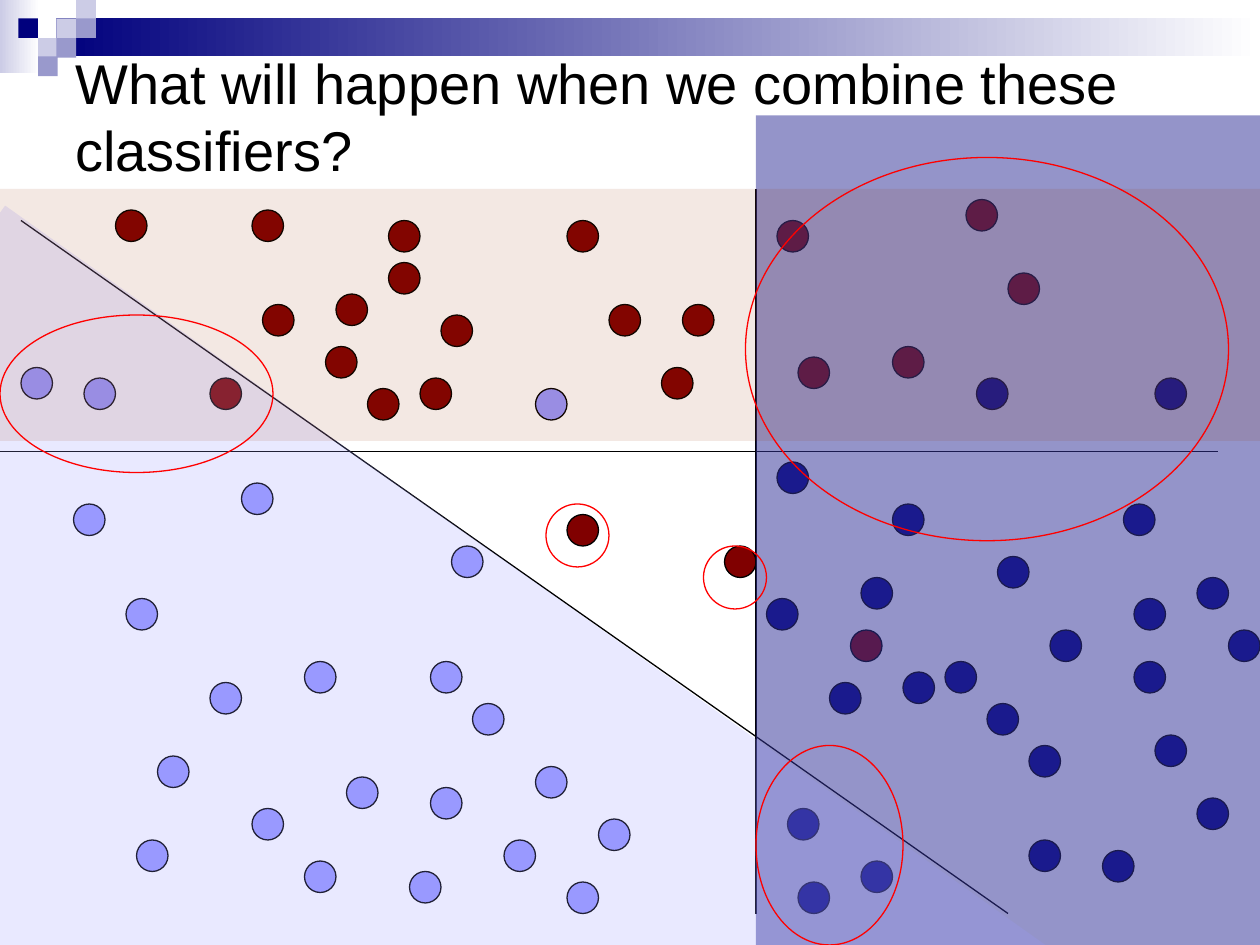
from dataclasses import dataclass
from typing import NamedTuple, Optional

from pptx import Presentation
from pptx import util as u
from pptx.dml.color import RGBColor
from pptx.enum import shapes as s, text as t
from pptx.oxml.ns import qn
from lxml import etree

PX = 9525  # EMU per px, 96 px to the inch


@dataclass(frozen=True)
class Theme:
    ink: str = "000000"
    pale: str = "9999FF"
    red: str = "800000"
    navy: str = "000080"
    ring: str = "FF0000"
    blue: str = "333399"
    rust: str = "993300"
    deep: str = "00007D"
    mist: str = "CCCCE6"
    haze: str = "9999CC"
    white: str = "FFFFFF"
    font: str = "Arial"
    title: float = 32
    line: float = 0.75


class Box(NamedTuple):
    x: int
    y: int
    w: int
    h: int


class Zone(NamedTuple):
    box: Box
    fill: str
    alpha: int
    turn: float = 0


class Band(NamedTuple):
    box: Box
    start: str
    end: str


class Tile(NamedTuple):
    col: int
    row: int
    fill: str


class Rule(NamedTuple):
    x1: int
    y1: int
    x2: int
    y2: int


TH = Theme()
DOT = 24
STEP = 14.4  # pitch of the corner tiles

BANDS = [
    Band(Box(0, 0, 30, 56), TH.mist, TH.white),
    Band(Box(43, 14, 917, 29), TH.deep, TH.white),
]
TILES = [
    Tile(3, 1, TH.mist), Tile(4, 0, TH.mist), Tile(4, 1, TH.haze),
    Tile(2, 2, TH.mist), Tile(1, 1, TH.deep), Tile(3, 2, TH.haze),
    Tile(2, 3, TH.haze),
]
# Left and top of each data point, by class colour
DOTS = {
    TH.pale: [
        (160, 520), (328, 600), (192, 616), (184, 368), (120, 576), (232, 656),
        (104, 640), (64, 288), (16, 280), (264, 592), (96, 456), (408, 296),
        (56, 384), (344, 416), (432, 672), (328, 504), (232, 504), (360, 536),
        (384, 640), (408, 584), (456, 624), (312, 664),
    ],
    TH.red: [
        (192, 160), (160, 288), (296, 168), (248, 264), (256, 224), (280, 296),
        (432, 392), (320, 288), (504, 280), (464, 232), (336, 240), (592, 168),
        (432, 168), (552, 416), (680, 264), (520, 232), (768, 208), (608, 272),
        (200, 232), (736, 152), (296, 200), (648, 480), (88, 160),
    ],
    TH.navy: [
        (656, 656), (912, 440), (880, 560), (608, 672), (864, 456), (936, 480),
        (760, 424), (912, 608), (864, 504), (856, 384), (784, 640), (744, 288),
        (680, 384), (584, 456), (592, 352), (632, 520), (656, 440), (880, 288),
        (688, 512), (600, 616), (720, 504), (800, 480), (752, 536), (840, 648),
        (784, 568),
    ],
}
RULES = [Rule(0, 344, 928, 344), Rule(16, 168, 768, 696), Rule(576, 144, 576, 696)]
ZONES = [
    Zone(Box(576, 88, 384, 656), TH.blue, 52),
    Zone(Box(-225, 396, 979, 478), TH.pale, 21, 35.4),
    Zone(Box(0, 144, 960, 192), TH.rust, 11),
]
RINGS = [
    Box(536, 416, 48, 48), Box(416, 384, 48, 48), Box(0, 240, 208, 120),
    Box(568, 120, 368, 292), Box(576, 568, 112, 152),
]


def rgb(code: str) -> RGBColor:
    return RGBColor.from_string(code)


def emu(*vals: int) -> list[u.Emu]:
    return [u.Emu(v * PX) for v in vals]


def stroke(item, code: str) -> None:
    item.line.color.rgb = rgb(code)
    item.line.width = u.Pt(TH.line)


def draw(slide, kind, box: Box, fill: Optional[str] = None, edge: Optional[str] = None):
    item = slide.shapes.add_shape(kind, *emu(*box))
    item.shadow.inherit = False
    if fill:
        item.fill.solid()
        item.fill.fore_color.rgb = rgb(fill)
    else:
        item.fill.background()
    if edge:
        stroke(item, edge)
    else:
        item.line.fill.background()
    return item


def add_band(slide, band: Band) -> None:
    item = draw(slide, s.MSO_SHAPE.RECTANGLE, band.box)
    item.fill.gradient()
    item.fill.gradient_angle = 0
    for stop, code in zip(item.fill.gradient_stops, (band.start, band.end)):
        stop.color.rgb = rgb(code)


def add_tile(slide, tile: Tile) -> None:
    box = Box(round(tile.col * STEP), round(tile.row * STEP), 15, 15)
    draw(slide, s.MSO_SHAPE.RECTANGLE, box, tile.fill)


def add_zone(slide, zone: Zone) -> None:
    item = draw(slide, s.MSO_SHAPE.RECTANGLE, zone.box, zone.fill)
    item.rotation = zone.turn
    tint = item.fill._xPr.find(qn("a:solidFill"))[0]
    etree.SubElement(tint, qn("a:alpha")).set("val", str(zone.alpha * 1000))


def add_rule(slide, rule: Rule) -> None:
    item = slide.shapes.add_connector(s.MSO_CONNECTOR.STRAIGHT, *emu(*rule))
    stroke(item, TH.ink)
    etree.SubElement(item._element.spPr, qn("a:effectLst"))


def add_title(slide, words: str, box: Box) -> None:
    frame = slide.shapes.add_textbox(*emu(*box)).text_frame
    for key, val in {"word_wrap": True, "vertical_anchor": t.MSO_ANCHOR.MIDDLE}.items():
        setattr(frame, key, val)
    run = frame.paragraphs[0].add_run()
    run.text = words
    for key, val in {"name": TH.font, "size": u.Pt(TH.title)}.items():
        setattr(run.font, key, val)
    run.font.color.rgb = rgb(TH.ink)


def main() -> None:
    deck = Presentation()
    deck.slide_width, deck.slide_height = emu(960, 720)
    slide = deck.slides.add_slide(deck.slide_layouts[6])

    # Header decoration and title
    for band in BANDS:
        add_band(slide, band)
    for tile in TILES:
        add_tile(slide, tile)
    add_title(slide, "What will happen when we combine these classifiers?",
              Box(48, 48, 872, 80))

    # Data points
    for code, spots in DOTS.items():
        for x, y in spots:
            draw(slide, s.MSO_SHAPE.OVAL, Box(x, y, DOT, DOT), code, TH.ink)

    # Decision lines, their half-planes, and the marked points
    for rule in RULES:
        add_rule(slide, rule)
    for zone in ZONES:
        add_zone(slide, zone)
    for ring in RINGS:
        draw(slide, s.MSO_SHAPE.OVAL, ring, edge=TH.ring)

    deck.save("out.pptx")


if __name__ == "__main__":
    main()
